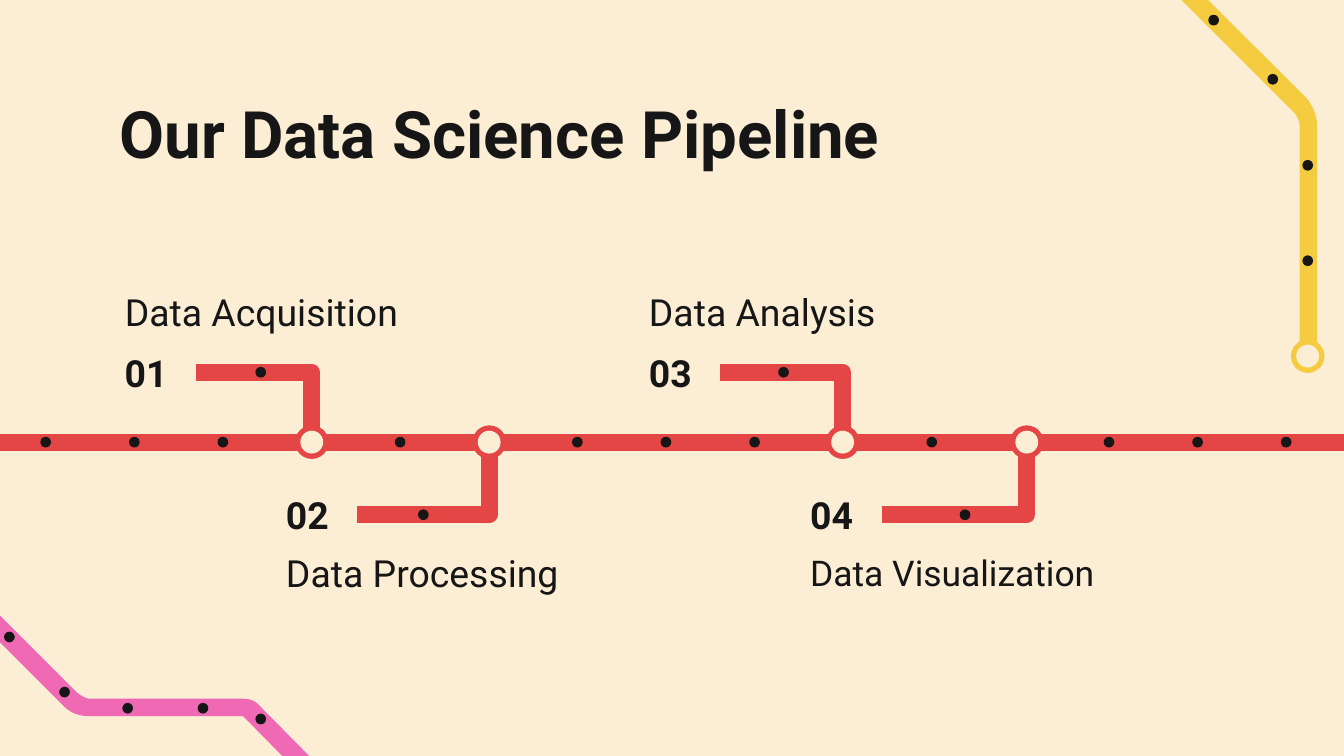
from itertools import pairwise

from pptx import Presentation
from pptx.dml.color import RGBColor
from pptx.enum.shapes import MSO_CONNECTOR, MSO_SHAPE
from pptx.enum.text import MSO_ANCHOR
from pptx.oxml.ns import qn
from pptx.util import Inches, Pt
from lxml.etree import SubElement

CREAM = RGBColor(0xFC, 0xED, 0xD5)
INK = RGBColor(0x16, 0x16, 0x16)
RED = RGBColor(0xE4, 0x46, 0x46)
YELLOW = RGBColor(0xF5, 0xCC, 0x3F)
PINK = RGBColor(0xF0, 0x69, 0xB4)

WIDE = 10
HIGH = WIDE * 9 / 16
DOT, RING, HOLE = 0.08, 0.25, 0.17
ROW = 0.46       # height of a label
NUM = 0.63       # width of a step number
RAIL = 3.29      # height of the main line

TITLE = "Our Data Science Pipeline"

# number, name, size, left, name width, station x, dot x, above the rail
STEPS = [
    ("01", "Data Acquisition", 20, 0.83, 2.49, 2.32, 1.94, True),
    ("02", "Data Processing", 20, 2.03, 3.37, 3.64, 3.15, False),
    ("03", "Data Analysis", 20, 4.73, 2.78, 6.27, 5.83, True),
    ("04", "Data Visualization", 19, 5.93, 2.49, 7.64, 7.18, False),
]
# above the rail: top of name, top of number
TOPS = {True: (2.09, 2.54), False: (4.03, 3.6)}

# Outlines: two numbers are a corner, six a Bezier curve
ROUTES = [
    (YELLOW,
     [(8.79, 0), (9.63, 0.84), (9.65, 0.86, 9.67, 0.91, 9.67, 0.93),
      (9.67, 2.65), (9.8, 2.65), (9.8, 0.93),
      (9.8, 0.87, 9.77, 0.79, 9.73, 0.74), (8.99, 0)],
     [(9.03, 0.15), (9.47, 0.59), (9.73, 1.23), (9.73, 1.94)]),
    (PINK,
     [(0, 4.58), (0.58, 5.16), (0.61, 5.18, 0.64, 5.2, 0.67, 5.2),
      (1.81, 5.2), (1.85, 5.2, 1.89, 5.21, 1.92, 5.24), (2.3, HIGH),
      (2.1, HIGH), (1.81, 5.33), (0.67, 5.33),
      (0.6, 5.33, 0.53, 5.31, 0.48, 5.26), (0, 4.78)],
     [(0.07, 4.74), (0.48, 5.15), (0.95, 5.27), (1.51, 5.27), (1.94, 5.35)]),
]
TERMINUS = (9.73, 2.65)

FIRST, LAST, COUNT = 0.34, 9.57, 15  # dots along the rail

deck = Presentation()
deck.slide_width, deck.slide_height = Inches(WIDE), Inches(HIGH)
slide = deck.slides.add_slide(deck.slide_layouts[6])
slide.background.fill.solid()
slide.background.fill.fore_color.rgb = CREAM
shapes = slide.shapes


def paint(shape, color):
    shape.shadow.inherit = False
    shape.fill.solid()
    shape.fill.fore_color.rgb = color
    shape.line.fill.background()


def disc(x, y, size, color):
    """Draw a circle centred on x, y."""
    paint(shapes.add_shape(MSO_SHAPE.OVAL, Inches(x - size / 2),
                           Inches(y - size / 2), Inches(size), Inches(size)),
          color)


def station(x, y, color):
    disc(x, y, RING, color)
    disc(x, y, HOLE, CREAM)


def flatten(route, parts=8):
    """Turn the curves of an outline into short straight steps."""
    points = []
    for move in route:
        if len(move) == 2:
            points.append(move)
            continue
        curve = [points[-1], move[:2], move[2:4], move[4:]]
        for i in range(1, parts + 1):
            t = i / parts
            mix = ((1 - t) ** 3, 3 * t * (1 - t) ** 2,
                   3 * t * t * (1 - t), t ** 3)
            points.append(tuple(sum(m * p[k] for m, p in zip(mix, curve))
                                for k in (0, 1)))
    return [(Inches(x), Inches(y)) for x, y in points]


def track(kind, x1, y1, x2, y2):
    line = shapes.add_connector(kind, Inches(x1), Inches(y1),
                                Inches(x2), Inches(y2))
    line.line.color.rgb = RED
    line.line.width = Pt(9)
    props = line._element.spPr
    SubElement(props.find(qn("a:ln")), qn("a:round"))
    SubElement(props, qn("a:effectLst"))
    if kind == MSO_CONNECTOR.ELBOW:  # a single bend
        props.find(qn("a:prstGeom")).set("prst", "bentConnector2")


def label(text, x, y, w, h, size, bold=False, anchor=MSO_ANCHOR.MIDDLE):
    frame = shapes.add_textbox(Inches(x), Inches(y),
                               Inches(w), Inches(h)).text_frame
    frame.word_wrap = True
    frame.vertical_anchor = anchor
    frame.margin_left = frame.margin_right = Inches(0.1)
    frame.margin_top = frame.margin_bottom = Inches(0.1)
    run = frame.paragraphs[0].add_run()
    run.text = text
    run.font.name, run.font.size, run.font.bold = "Roboto", Pt(size), bold
    run.font.color.rgb = INK


for color, route, dots in ROUTES:
    start, *rest = flatten(route)
    outline = shapes.build_freeform(*start, scale=1.0)
    outline.add_line_segments(rest, close=True)
    paint(outline.convert_to_shape(), color)
    for x, y in dots:
        disc(x, y, DOT, INK)
station(*TERMINUS, YELLOW)

stops = [0, *(step[5] for step in STEPS), WIDE]
for left, right in pairwise(stops):
    track(MSO_CONNECTOR.STRAIGHT, left, RAIL, right, RAIL)
for i in range(COUNT):
    disc(FIRST + i * (LAST - FIRST) / (COUNT - 1), RAIL, DOT, INK)

label(TITLE, 0.79, 0.59, 8.43, 0.63, 35, True, MSO_ANCHOR.TOP)
for num, name, size, left, width, stop, dot, above in STEPS:
    top, mark = TOPS[above]
    bend = mark + ROW / 2
    label(name, left, top, width, ROW, size)
    label(num, left, mark, NUM, ROW, 20, True)
    track(MSO_CONNECTOR.ELBOW, left + NUM, bend, stop,
          RAIL + (-HOLE if above else HOLE) / 2)
    station(stop, RAIL, RED)
    disc(dot, bend, DOT, INK)

deck.save("out.pptx")
